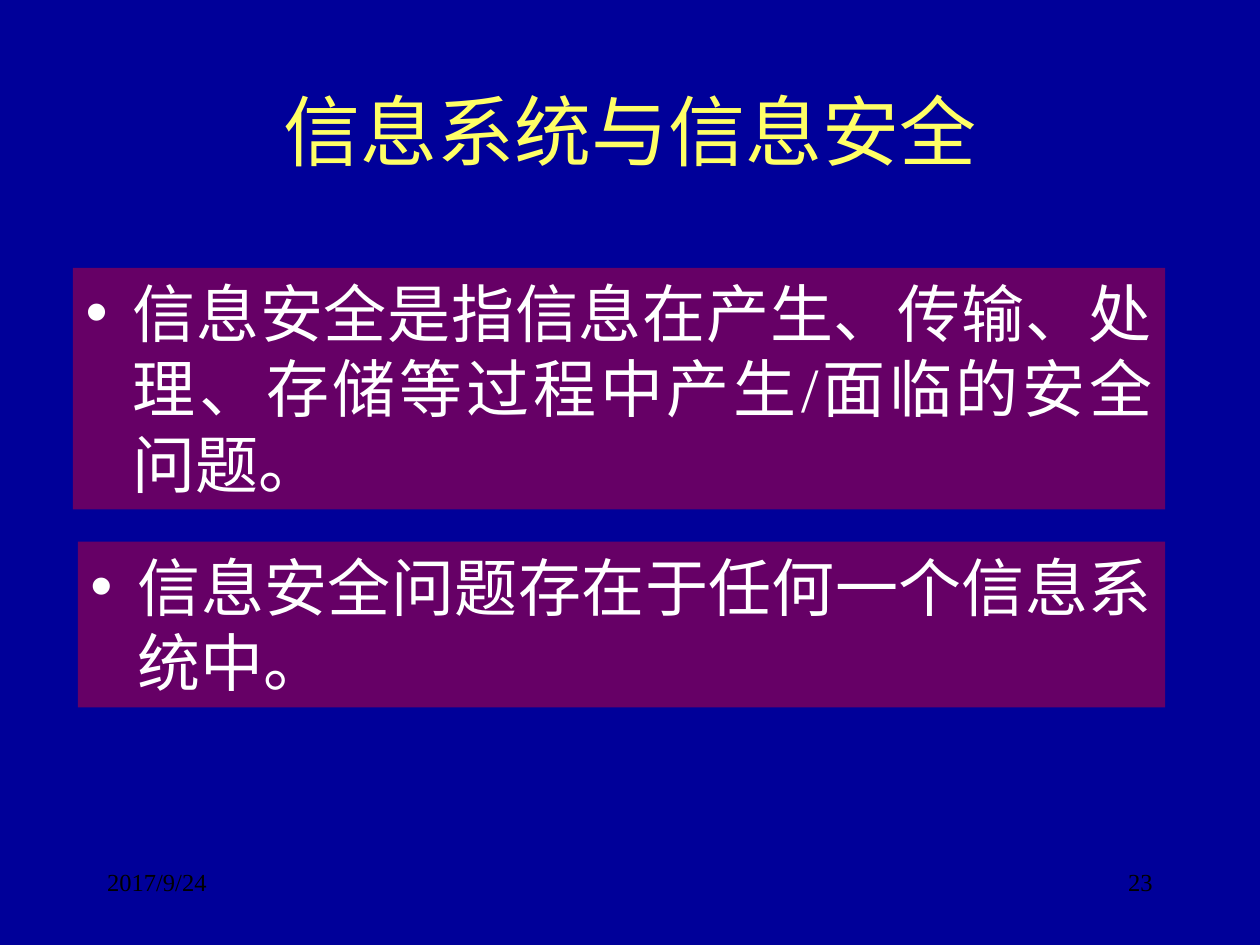
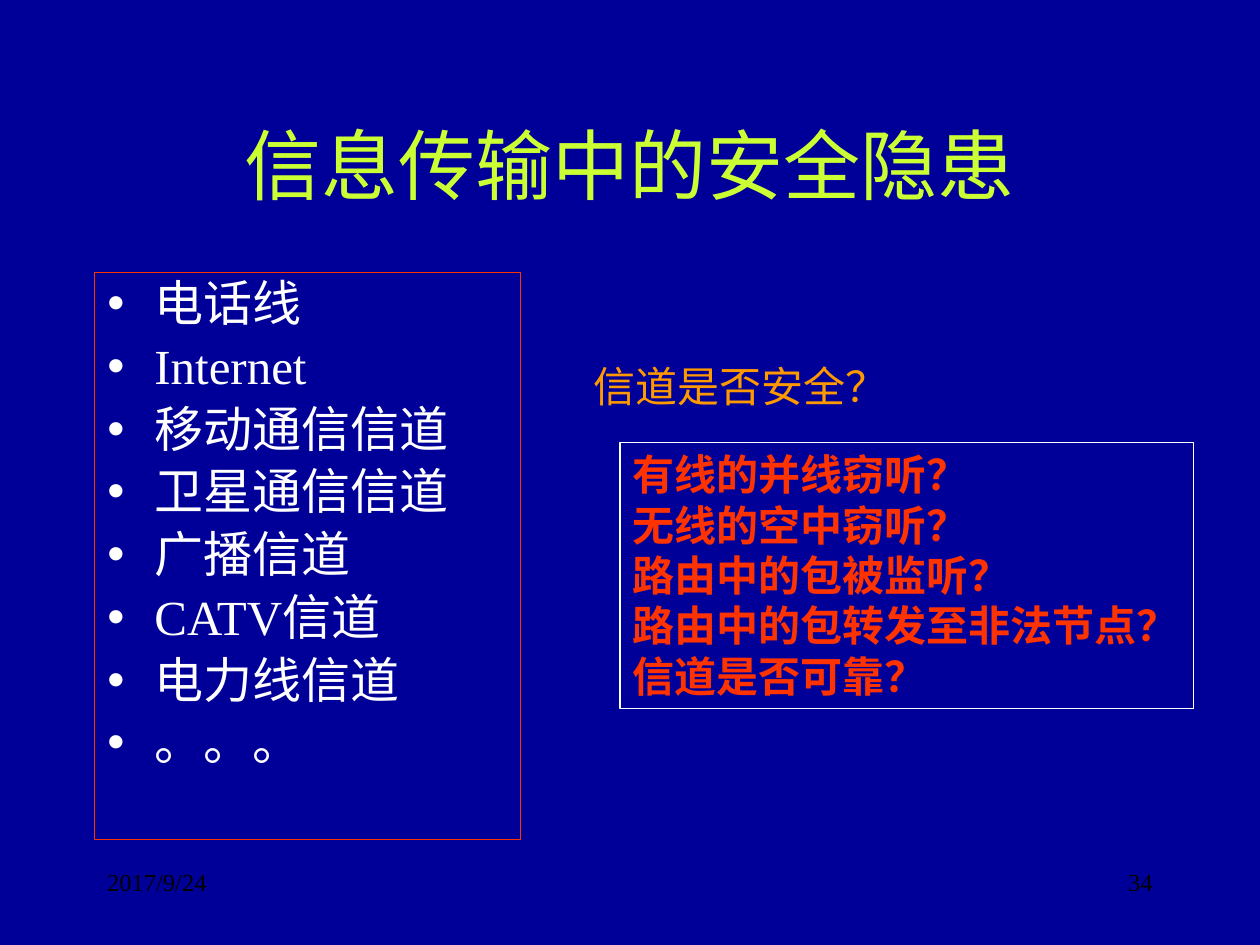
from lxml.etree import SubElement
from pptx import Presentation
from pptx.dml.color import RGBColor
from pptx.enum.text import MSO_ANCHOR, MSO_AUTO_SIZE, PP_ALIGN
from pptx.oxml.ns import qn
from pptx.util import Cm, Pt

FONT = "Times New Roman"
DATE = "2017/9/24"
COLORS = {
    "back": "000099",
    "panel": "660066",
    "yellow": "FFFF66",
    "lime": "CCFF33",
    "orange": "FF9900",
    "red": "FF3300",
    "white": "FFFFFF",
    "black": "000000",
}


def color(name):
    """Return the named colour."""
    return RGBColor.from_string(COLORS[name])


def place(shape, box):
    """Move a shape to a box of left, top, width and height in cm."""
    shape.left, shape.top, shape.width, shape.height = map(Cm, box)


def bullet(para):
    """Give a paragraph a hanging round bullet."""
    props = para._p.get_or_add_pPr()
    props.set("marL", str(Cm(0.95)))
    props.set("indent", str(-Cm(0.95)))
    SubElement(props, qn("a:buChar")).set("char", "•")


def write(shape, text, size, ink, bold=False, align=PP_ALIGN.LEFT, wrap=True,
          anchor=MSO_ANCHOR.TOP, dots=False, line=1.0, gap=0):
    """Fill a shape with one formatted paragraph per line of text."""
    frame = shape.text_frame
    frame.word_wrap = wrap
    frame.auto_size = MSO_AUTO_SIZE.NONE
    frame.vertical_anchor = anchor
    frame.text = text
    for order, para in enumerate(frame.paragraphs):
        para.alignment = align
        para.line_spacing = line
        para.space_before = Pt(gap if order else 0)
        if dots:
            bullet(para)
        for run in para.runs:
            font = run.font
            font.name, font.size, font.bold = FONT, Pt(size), bold
            font.color.rgb = color(ink)


def label(slide, box, text, **style):
    """Add a text box and return it."""
    shape = slide.shapes.add_textbox(*map(Cm, box))
    write(shape, text, **style)
    return shape


def listing(shape, box, text, **style):
    """Place a body placeholder and fill it with a bulleted list."""
    place(shape, box)
    write(shape, text, ink="white", dots=True, **style)


def frame_line(shape, name):
    """Draw a thin outline round a shape."""
    shape.line.color.rgb = color(name)
    shape.line.width = Pt(0.75)


def footer(slide, number):
    """Add the date on the left and the page number on the right."""
    top, width, height = 17.35, 5.28, 1.27
    label(slide, (1.91, top, width, height), DATE, size=14, ink="black")
    label(slide, (18.21, top, width, height), number, size=14, ink="black",
          align=PP_ALIGN.RIGHT)


def start(deck, layout, title, box, ink, number):
    """Add a slide with its title and footer."""
    slide = deck.slides.add_slide(deck.slide_layouts[layout])
    place(slide.shapes.title, box)
    write(slide.shapes.title, title, size=44, ink=ink,
          align=PP_ALIGN.CENTER, anchor=MSO_ANCHOR.MIDDLE)
    footer(slide, number)
    return slide


def panels(deck):
    """Build the slide of filled panels, one statement in each."""
    slide = start(deck, 3, "信息系统与信息安全", (1.91, 0.71, 21.59, 3.81),
                  "yellow", "23")
    points = (
        ((1.47, 5.4, 22.02, 4.87),
         "信息安全是指信息在产生、传输、处理、存储等过程中产生/面临的安全问题。"),
        ((1.57, 10.92, 21.92, 3.34),
         "信息安全问题存在于任何一个信息系统中。"),
    )
    for key, (box, text) in enumerate(points, 1):
        panel = slide.placeholders[key]
        listing(panel, box, text, size=36, align=PP_ALIGN.JUSTIFY)
        panel.fill.solid()
        panel.fill.fore_color.rgb = color("panel")


def channels(deck):
    """Build the slide of channels and the risks they carry."""
    slide = start(deck, 1, "信息传输中的安全隐患", (1.91, 1.7, 21.59, 3.18),
                  "lime", "34")
    media = ("电话线", "Internet", "移动通信信道", "卫星通信信道",
             "广播信道", "CATV信道", "电力线信道", "。。。")
    body = slide.placeholders[1]
    listing(body, (1.91, 5.5, 8.59, 11.43), "\n".join(media),
            size=28, line=0.9, gap=5.6)
    frame_line(body, "red")

    label(slide, (11.71, 7.14, 6.43, 1.27), "信道是否安全？",
          size=24, ink="orange", wrap=False)
    risks = ("有线的并线窃听？", "无线的空中窃听？", "路由中的包被监听？",
             "路由中的包转发至非法节点？", "信道是否可靠？")
    box = label(slide, (12.5, 8.92, 11.56, 5.36), "\n".join(risks),
                size=24, ink="red", bold=True, wrap=False)
    frame_line(box, "white")


def main():
    """Build and save the deck."""
    deck = Presentation()
    deck.slide_width, deck.slide_height = Cm(25.4), Cm(19.05)
    back = deck.slide_master.background.fill
    back.solid()
    back.fore_color.rgb = color("back")
    panels(deck)
    channels(deck)
    deck.save("out.pptx")


if __name__ == "__main__":
    main()
